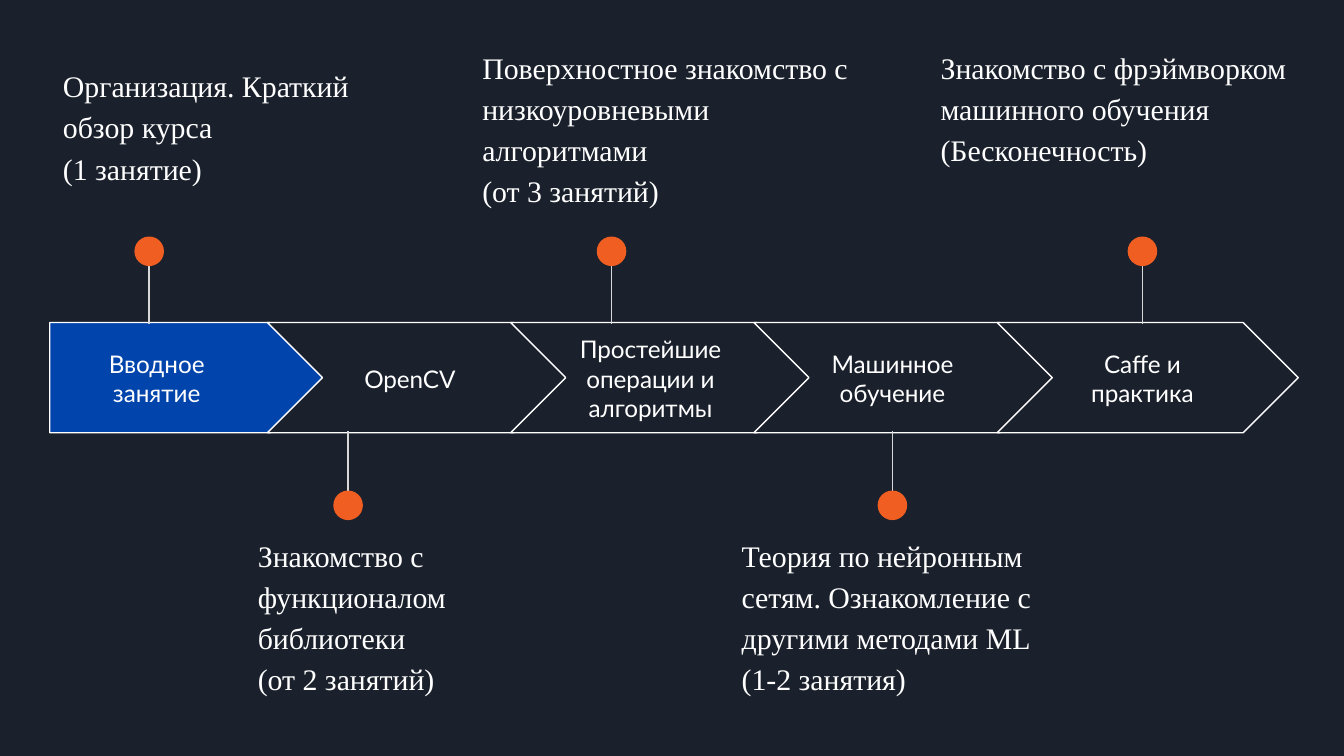
from pptx import Presentation
from pptx.dml.color import RGBColor
from pptx.enum.shapes import MSO_CONNECTOR, MSO_SHAPE
from pptx.enum.text import MSO_ANCHOR as Anchor, PP_ALIGN as Align
from pptx.oxml.ns import qn
from pptx.util import Inches, Pt
from lxml import etree

NAVY = RGBColor(0x1B, 0x21, 0x2C)
BLUE = RGBColor(0x01, 0x45, 0xAC)
ORANGE = RGBColor(0xF1, 0x5E, 0x22)
WHITE = RGBColor(0xFF, 0xFF, 0xFF)
GREY = RGBColor(0xD9, 0xD9, 0xD9)

PAGE_WIDTH = 10
PAGE_HEIGHT = PAGE_WIDTH * 9 / 16
BAND_TOP, BAND_HEIGHT = 2.4, 0.82
STEP_LEFT, STEP_PITCH, STEP_WIDTH = 1.99, 1.81, 2.24
DOT_SIZE = 0.22
STEM_LENGTH = 0.61

# Label, label left and width, pin centre, pin above?, note, note box, note anchor
STAGES = [
    ("Вводное занятие", 0.37, 1.59, 1.11, True,
     "Организация. Краткий обзор курса \v(1 занятие)",
     (0.37, 0.43, 2.45, 0.99), Anchor.MIDDLE),
    ("OpenCV", 2.33, 1.44, 2.59, False,
     "Знакомство с функционалом библиотеки \v(от 2 занятий)",
     (1.82, 3.86, 2.45, 0.99), Anchor.TOP),
    ("Простейшие операции и алгоритмы", 4.12, 1.44, 4.55, True,
     "Поверхностное знакомство с низкоуровневыми алгоритмами\v(от 3 занятий)",
     (3.49, 0.23, 3.08, 1.44), Anchor.TOP),
    ("Машинное обучение", 5.92, 1.44, 6.64, False,
     "Теория по нейронным сетям. Ознакомление с другими методами ML\v(1-2 занятия)",
     (5.42, 3.86, 2.45, 0.99), Anchor.TOP),
    ("Caffe и практика", 7.78, 1.44, 8.5, True,
     "Знакомство с фрэймворком машинного обучения\v(Бесконечность)",
     (6.9, 0.23, 2.88, 1.05), Anchor.TOP),
]


def add_text(page, box, text, font, size, anchor, align=Align.LEFT):
    frame = page.shapes.add_textbox(*map(Inches, box)).text_frame
    frame.word_wrap = True
    frame.vertical_anchor = anchor
    frame.margin_left = frame.margin_right = Inches(0.1)
    frame.margin_top = frame.margin_bottom = Inches(0.1)
    frame.text = text
    para = frame.paragraphs[0]
    para.alignment = align
    for span in para.runs:
        span.font.name = font
        span.font.size = Pt(size)
        span.font.color.rgb = WHITE
    return para


def add_solid(page, kind, box, fill, outline=None):
    shape = page.shapes.add_shape(kind, *map(Inches, box))
    shape.shadow.inherit = False
    shape.fill.solid()
    shape.fill.fore_color.rgb = fill
    if outline is None:
        shape.line.fill.background()
    else:
        shape.line.color.rgb = outline
        shape.line.width = Pt(0.75)


def add_step(page, index, label, label_left, label_width):
    """One arrow of the band with its label."""
    if index == 0:
        kind, left, width, fill = MSO_SHAPE.PENTAGON, 0.37, 2.05, BLUE
    else:
        kind, fill = MSO_SHAPE.CHEVRON, NAVY
        left, width = STEP_LEFT + (index - 1) * STEP_PITCH, STEP_WIDTH
    add_solid(page, kind, (left, BAND_TOP, width, BAND_HEIGHT), fill, WHITE)
    label_box = (label_left, BAND_TOP + 0.16, label_width, 0.51)
    add_text(page, label_box, label, "Lato", 13, Anchor.MIDDLE, Align.CENTER)


def add_pin(page, centre, above):
    """A stem from the band's edge, ending in a dot."""
    if above:
        edge, tip, dot_top = 2.41, 2.41 - STEM_LENGTH, 1.76
    else:
        edge, tip, dot_top = 3.21, 3.21 + STEM_LENGTH, 3.65
    stem = page.shapes.add_connector(
        MSO_CONNECTOR.STRAIGHT, *map(Inches, (centre, tip, centre, edge)))
    stem.line.color.rgb = GREY
    stem.line.width = Pt(0.75)
    etree.SubElement(stem._element.spPr, qn("a:effectLst"))
    dot_box = (centre - DOT_SIZE / 2, dot_top, DOT_SIZE, DOT_SIZE)
    add_solid(page, MSO_SHAPE.OVAL, dot_box, ORANGE)


def add_note(page, box, note, anchor):
    """The description beside a pin."""
    para = add_text(page, box, note, "Times New Roman", 16, anchor)
    para.line_spacing = 1.15
    if anchor == Anchor.MIDDLE:
        para.space_after = Pt(16)


def main():
    deck = Presentation()
    deck.slide_width, deck.slide_height = Inches(PAGE_WIDTH), Inches(PAGE_HEIGHT)
    page = deck.slides.add_slide(deck.slide_layouts[6])
    page.background.fill.solid()
    page.background.fill.fore_color.rgb = NAVY

    # Course timeline, stage by stage
    for index, stage in enumerate(STAGES):
        label, label_left, label_width, centre, above, note, note_box, anchor = stage
        add_step(page, index, label, label_left, label_width)
        add_pin(page, centre, above)
        add_note(page, note_box, note, anchor)

    deck.save("out.pptx")


if __name__ == "__main__":
    main()
